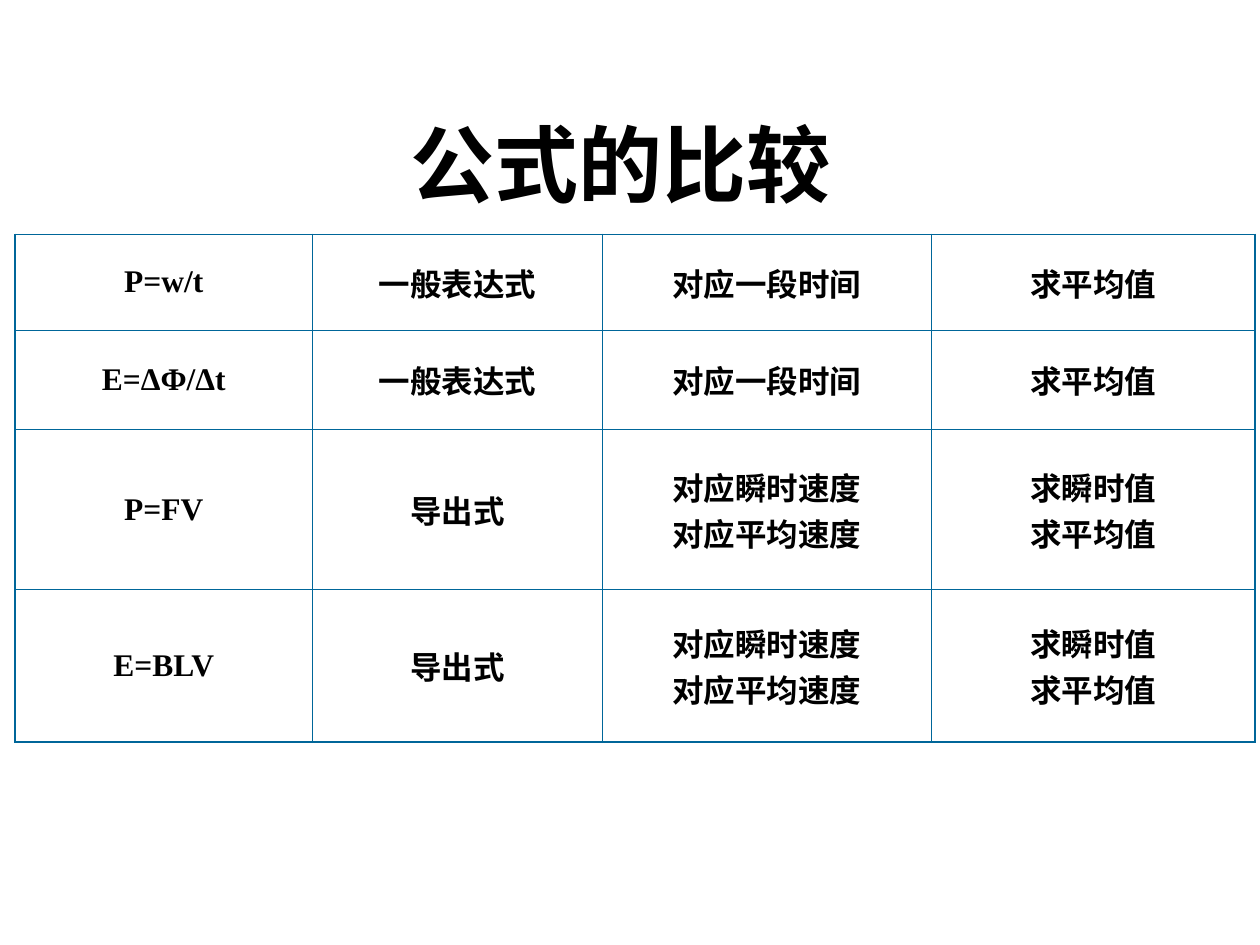
from lxml import etree
from pptx import Presentation
from pptx.dml.color import RGBColor
from pptx.enum.text import MSO_ANCHOR, MSO_AUTO_SIZE, PP_ALIGN
from pptx.oxml.ns import qn
from pptx.util import Inches, Pt

CENTER = PP_ALIGN.CENTER
TOP, MIDDLE = MSO_ANCHOR.TOP, MSO_ANCHOR.MIDDLE
NO_AUTOFIT = MSO_AUTO_SIZE.NONE

INK, RULE = "000000", "006699"
INNER_WIDTH, OUTER_WIDTH = 0.45, 0.96
COLUMN_WIDTHS = [2.36, 2.3, 2.61, 2.57]
ROW_HEIGHTS = [0.76, 0.79, 1.27, 1.21]
GENERAL = ["一般表达式", "对应一段时间", "求平均值"]
DERIVED = ["导出式", "对应瞬时速度\n对应平均速度", "求瞬时值\n求平均值"]
FORMULAS = [
    ["P=w/t", *GENERAL],
    ["E=ΔΦ/Δt", *GENERAL],
    ["P=FV", *DERIVED],
    ["E=BLV", *DERIVED],
]
TITLE_FONT = {"name": "DejaVu Sans", "size": Pt(48), "bold": True}
CELL_FONT = {"name": "Times New Roman", "size": Pt(18), "bold": True}


def color(hex_value):
    """Return the colour for a hex string."""
    return RGBColor.from_string(hex_value)


def set_attributes(target, values):
    """Set each named value on the target."""
    for name, value in values.items():
        setattr(target, name, value)


def write_text(frame, text, font_values):
    """Write centred lines of text in one format."""
    frame.text = text
    for paragraph in frame.paragraphs:
        paragraph.alignment = CENTER
        set_attributes(paragraph.font, font_values)
        paragraph.font.color.rgb = color(INK)


def add_title(slide, text):
    """Place and format the slide title."""
    title = slide.shapes.title
    set_attributes(title, {
        "left": Inches(2.01), "top": Inches(0.84),
        "width": Inches(5.83), "height": Inches(0.9),
    })
    set_attributes(title.text_frame, {
        "vertical_anchor": TOP, "auto_size": NO_AUTOFIT, "word_wrap": True,
    })
    write_text(title.text_frame, text, TITLE_FONT)


def set_borders(cell, widths):
    """Draw the cell borders with the given point widths by side."""
    properties = cell._tc.get_or_add_tcPr()
    for position, side in enumerate("LRTB"):
        line = etree.Element(qn(f"a:ln{side}"), w=str(int(Pt(widths[side]))))
        fill = etree.SubElement(line, qn("a:solidFill"))
        etree.SubElement(fill, qn("a:srgbClr"), val=RULE)
        properties.insert(position, line)


def add_formula_table(slide, rows):
    """Add the ruled comparison table."""
    row_count, column_count = len(rows), len(rows[0])
    table = slide.shapes.add_table(
        row_count, column_count, Inches(0.12), Inches(1.86),
        Inches(sum(COLUMN_WIDTHS)), Inches(sum(ROW_HEIGHTS)),
    ).table
    set_attributes(table, {"first_row": False, "horz_banding": False})
    for column, width in zip(table.columns, COLUMN_WIDTHS):
        column.width = Inches(width)
    for row, height in zip(table.rows, ROW_HEIGHTS):
        row.height = Inches(height)
    for r, row in enumerate(rows):
        for c, text in enumerate(row):
            cell = table.cell(r, c)
            cell.vertical_anchor = MIDDLE
            cell.fill.background()
            write_text(cell.text_frame, text, CELL_FONT)
            outer = {
                "L": c == 0, "R": c == column_count - 1,
                "T": r == 0, "B": r == row_count - 1,
            }
            set_borders(cell, {
                side: OUTER_WIDTH if is_outer else INNER_WIDTH
                for side, is_outer in outer.items()
            })


def main():
    """Build and save the formula comparison slide."""
    presentation = Presentation()
    set_attributes(presentation, {
        "slide_width": Inches(10), "slide_height": Inches(7.5),
    })
    slide = presentation.slides.add_slide(presentation.slide_layouts[5])
    add_formula_table(slide, FORMULAS)
    add_title(slide, "公式的比较")
    presentation.save("out.pptx")


if __name__ == "__main__":
    main()
